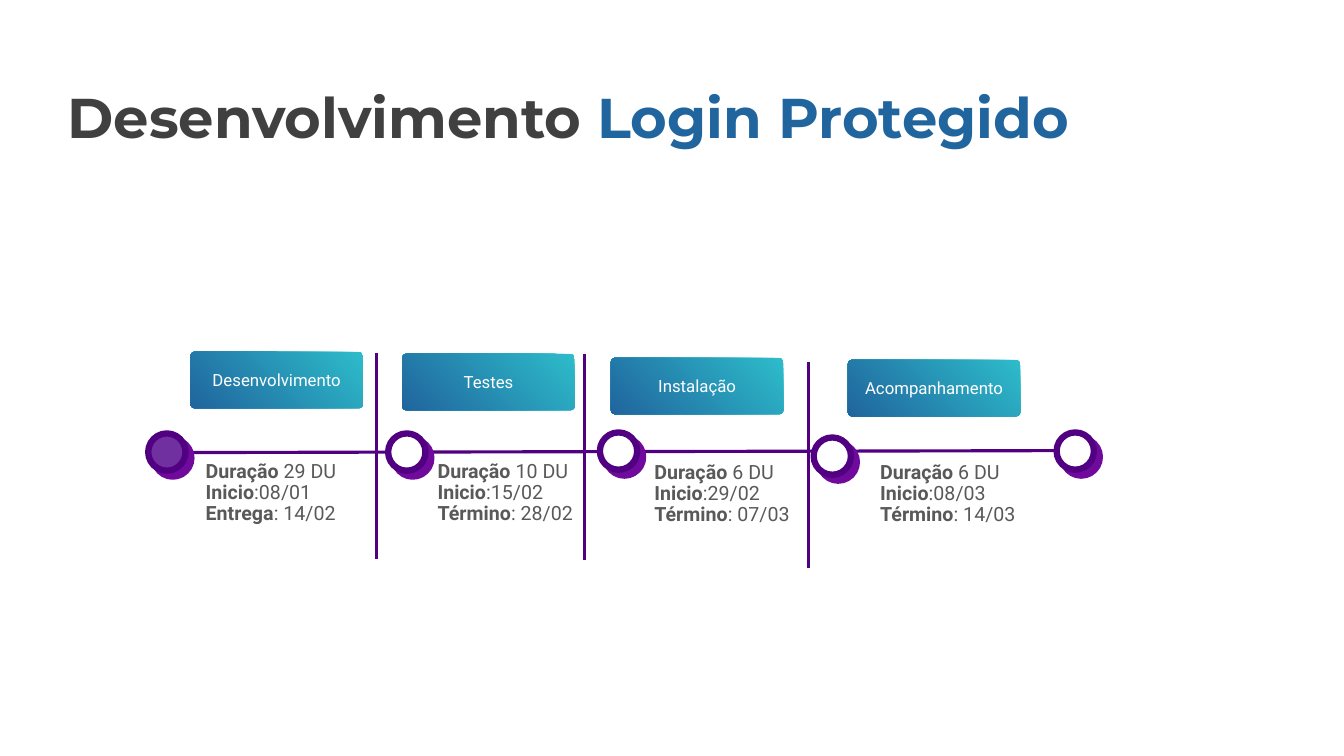
from lxml import etree
from pptx import Presentation
from pptx.dml.color import RGBColor
from pptx.enum.shapes import MSO_CONNECTOR, MSO_SHAPE
from pptx.enum.text import MSO_ANCHOR, MSO_AUTO_SIZE, PP_ALIGN
from pptx.oxml import parse_xml
from pptx.oxml.ns import nsdecls, qn
from pptx.util import Inches, Pt

STRAIGHT = MSO_CONNECTOR.STRAIGHT
OVAL, ROUND_RECT = MSO_SHAPE.OVAL, MSO_SHAPE.ROUNDED_RECTANGLE
MIDDLE, TOP = MSO_ANCHOR.MIDDLE, MSO_ANCHOR.TOP
CENTER = PP_ALIGN.CENTER
GROW = MSO_AUTO_SIZE.SHAPE_TO_FIT_TEXT

# Content
TITLE = [("Desenvolvimento ", "dark"), ("Login Protegido", "blue")]

# Each stage: name, label position, details position, details
STAGES = [
    ("Desenvolvimento", (1.89, 3.49), (2.04, 4.53),
     [("Duração", " 29 DU"), ("Inicio", ":08/01"), ("Entrega", ": 14/02")]),
    ("Testes", (3.99, 3.51), (4.34, 4.53),
     [("Duração", " 10 DU"), ("Inicio", ":15/02"), ("Término", ": 28/02")]),
    ("Instalação", (6.06, 3.55), (6.49, 4.54),
     [("Duração", " 6 DU"), ("Inicio", ":29/02"), ("Término", ": 07/03")]),
    ("Acompanhamento", (8.41, 3.57), (8.73, 4.54),
     [("Duração", " 6 DU"), ("Inicio", ":08/03"), ("Término", ": 14/03")]),
]
TIMELINE = (1.84, 4.49, 10.85, 4.47)
MILESTONES = [(1.47, 4.3, "done"), (3.85, 4.3, "white"), (5.95, 4.29, "white"),
              (8.07, 4.34, "white"), (10.48, 4.29, "white")]
DIVIDERS = [(3.73, 3.5), (5.8, 3.51), (8.02, 3.59)]

# Sizes in inches
LABEL_W, LABEL_H = 1.71, 0.56
DETAILS_W, DETAILS_H = 1.53, 0.74
DOT, DIVIDER_H = 0.37, 2.05

THEME = {
    "dark": RGBColor(0x40, 0x40, 0x40),
    "blue": RGBColor(0x20, 0x65, 0x9E),
    "teal": RGBColor(0x2D, 0xBC, 0xCA),
    "purple": RGBColor(0x52, 0x00, 0x82),
    "done": RGBColor(0x70, 0x30, 0xA0),
    "shadow": RGBColor(0x6F, 0x0A, 0x9D),
    "body": RGBColor(0x59, 0x59, 0x59),
    "white": RGBColor(0xFF, 0xFF, 0xFF),
    "title_font": "Montserrat",
    "body_font": "Roboto",
    "title_size": Pt(40),
    "label_size": Pt(12),
    "details_size": Pt(14),
    "rule": Pt(2.25),
    "ring": Pt(4.5),
}


def set_font(font, name, size, color):
    font.name, font.size = THEME[name], THEME[size]
    font.color.rgb = THEME[color]


def add_line(slide, x1, y1, x2, y2):
    line = slide.shapes.add_connector(
        STRAIGHT, Inches(x1), Inches(y1), Inches(x2), Inches(y2))
    line.line.color.rgb = THEME["purple"]
    line.line.width = THEME["rule"]
    etree.SubElement(line._element.spPr, qn("a:effectLst"))


def add_milestone(slide, x, y, fill):
    sp = slide.shapes.add_shape(OVAL, Inches(x), Inches(y), Inches(DOT), Inches(DOT))
    sp.fill.solid()
    sp.fill.fore_color.rgb = THEME[fill]
    sp.line.color.rgb = THEME["purple"]
    sp.line.width = THEME["ring"]
    # Hard shadow, 6 pt towards the lower right
    sp._element.spPr.append(parse_xml(
        f'<a:effectLst {nsdecls("a")}><a:outerShdw blurRad="0" dist="{Pt(6)}" '
        f'dir="{45 * 60000}" algn="ctr" rotWithShape="0">'
        f'<a:srgbClr val="{THEME["shadow"]}"/></a:outerShdw></a:effectLst>'))


def add_text_box(slide, x, y, w, h, inset, anchor):
    box = slide.shapes.add_textbox(Inches(x), Inches(y), Inches(w), Inches(h))
    tf = box.text_frame
    tf.word_wrap = True
    tf.vertical_anchor = anchor
    tf.margin_left = tf.margin_right = 0
    tf.margin_top = tf.margin_bottom = Inches(inset)
    return tf


def add_label(slide, name, x, y):
    sp = slide.shapes.add_shape(
        ROUND_RECT, Inches(x), Inches(y), Inches(LABEL_W), Inches(LABEL_H))
    sp.adjustments[0] = 0.071
    sp.shadow.inherit = False
    sp.line.fill.background()
    sp.fill.gradient()
    sp.fill.gradient_angle = 225
    for stop, position, color in zip(sp.fill.gradient_stops, (0, 1), ("teal", "blue")):
        stop.position = position
        stop.color.rgb = THEME[color]
    tf = sp.text_frame
    tf.word_wrap = True
    tf.vertical_anchor = MIDDLE
    p = tf.paragraphs[0]
    p.text = name
    p.alignment = CENTER
    set_font(p.font, "body_font", "label_size", "white")


def add_details(slide, details, x, y):
    tf = add_text_box(slide, x, y, DETAILS_W, DETAILS_H, 0.05, TOP)
    tf.auto_size = GROW
    for i, (term, value) in enumerate(details):
        p = tf.add_paragraph() if i else tf.paragraphs[0]
        p.line_spacing = 0.9
        for text, bold in ((term, True), (value, False)):
            r = p.add_run()
            r.text = text
            r.font.bold = bold
            set_font(r.font, "body_font", "details_size", "body")


def main():
    prs = Presentation()
    prs.slide_width, prs.slide_height = Inches(13.33), Inches(7.5)
    slide = prs.slides.add_slide(prs.slide_layouts[6])

    # Timeline and milestones
    add_line(slide, *TIMELINE)
    for milestone in MILESTONES:
        add_milestone(slide, *milestone)

    # Title
    p = add_text_box(slide, 0.67, 0.76, 12, 0.78, 0.07, MIDDLE).paragraphs[0]
    for text, color in TITLE:
        r = p.add_run()
        r.text = text
        r.font.bold = True
        set_font(r.font, "title_font", "title_size", color)

    # Stages and the dividers between them
    for name, label_at, details_at, details in STAGES:
        add_label(slide, name, *label_at)
        add_details(slide, details, *details_at)
    for x, y in DIVIDERS:
        add_line(slide, x, y, x, y + DIVIDER_H)

    prs.save("out.pptx")


if __name__ == "__main__":
    main()
